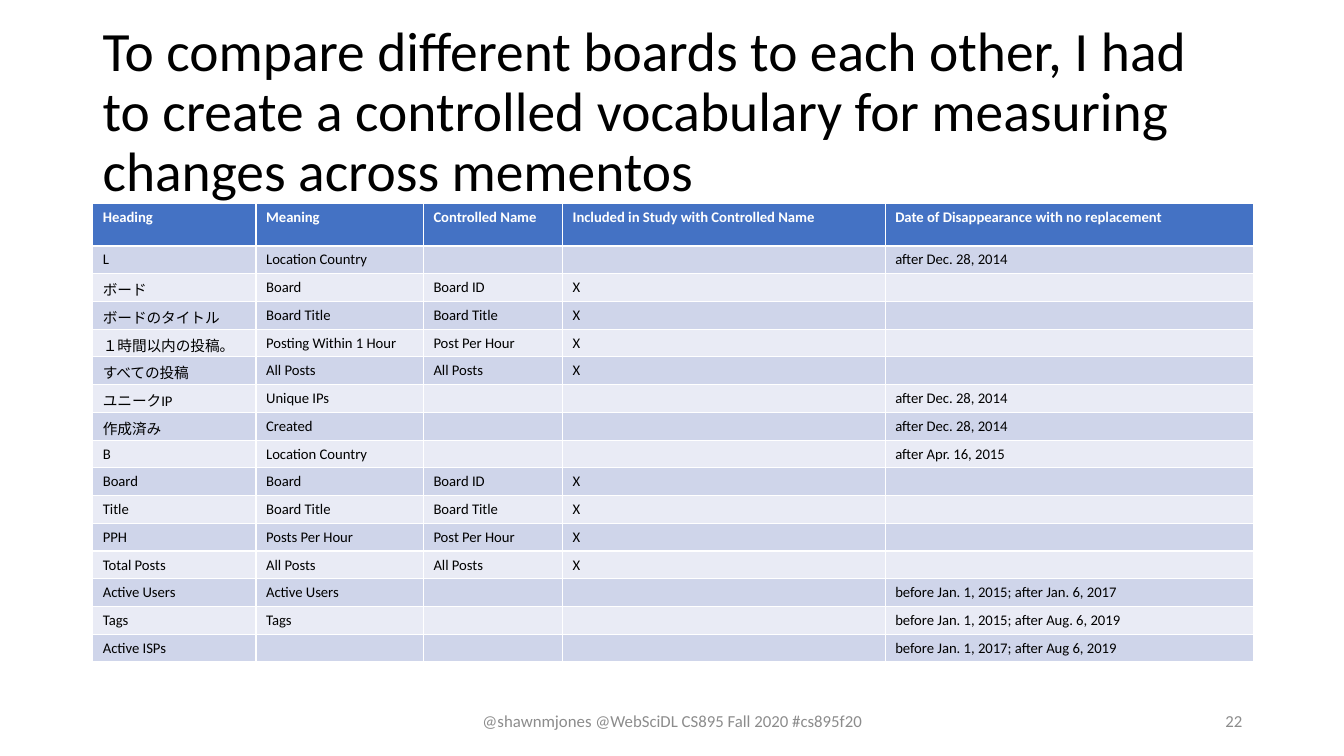
"""Build the slide that maps board headings to a controlled vocabulary."""
from dataclasses import dataclass

import pptx
import pptx.dml.color
import pptx.enum.text
import pptx.oxml.ns
import pptx.slide
import pptx.table
import pptx.text.text
import pptx.util
from lxml import etree

Inches = pptx.util.Inches
Align = pptx.enum.text.PP_ALIGN

FONT = "Calibri"
TABLE_SIZE = 10.5
HEADER_HEIGHT = 0.42
ROW_HEIGHT = 0.27
COLORS = {
    "text": "000000",
    "footer": "8C8C8C",
    "header_text": "FFFFFF",
    "header": "4472C4",
    "odd_row": "CFD5EA",
    "even_row": "E9EBF5",
}


@dataclass(frozen=True)
class Label:
    text: str
    left: float
    top: float
    width: float
    height: float
    size: float
    color: str
    align: Align = Align.LEFT
    line_spacing: float = 1.0


@dataclass(frozen=True)
class Column:
    title: str
    width: float


@dataclass(frozen=True)
class Entry:
    heading: str
    meaning: str = ""
    controlled_name: str = ""
    disappeared: str = ""

    def values(self) -> list[str]:
        included = "X" if self.controlled_name else ""
        return [self.heading, self.meaning, self.controlled_name, included, self.disappeared]


LABELS = [
    Label("To compare different boards to each other, I had to create a controlled "
          "vocabulary for measuring changes across mementos",
          0.92, 0.4, 11.5, 1.45, 39.6, "text", line_spacing=0.9),
    Label("@shawnmjones @WebSciDL CS895 Fall 2020 #cs895f20",
          4.42, 6.95, 4.5, 0.4, 12, "footer", Align.CENTER),
    Label("22", 9.42, 6.95, 3, 0.4, 12, "footer", Align.RIGHT),
]

COLUMNS = [
    Column("Heading", 1.62),
    Column("Meaning", 1.66),
    Column("Controlled Name", 1.38),
    Column("Included in Study with Controlled Name", 3.2),
    Column("Date of Disappearance with no replacement", 3.65),
]

ENTRIES = [
    Entry("L", "Location Country", disappeared="after Dec. 28, 2014"),
    Entry("ボード", "Board", "Board ID"),
    Entry("ボードのタイトル", "Board Title", "Board Title"),
    Entry("１時間以内の投稿。", "Posting Within 1 Hour", "Post Per Hour"),
    Entry("すべての投稿", "All Posts", "All Posts"),
    Entry("ユニークIP", "Unique IPs", disappeared="after Dec. 28, 2014"),
    Entry("作成済み", "Created", disappeared="after Dec. 28, 2014"),
    Entry("B", "Location Country", disappeared="after Apr. 16, 2015"),
    Entry("Board", "Board", "Board ID"),
    Entry("Title", "Board Title", "Board Title"),
    Entry("PPH", "Posts Per Hour", "Post Per Hour"),
    Entry("Total Posts", "All Posts", "All Posts"),
    Entry("Active Users", "Active Users", disappeared="before Jan. 1, 2015; after Jan. 6, 2017"),
    Entry("Tags", "Tags", disappeared="before Jan. 1, 2015; after Aug. 6, 2019"),
    Entry("Active ISPs", disappeared="before Jan. 1, 2017; after Aug 6, 2019"),
]


def rgb(name: str) -> pptx.dml.color.RGBColor:
    return pptx.dml.color.RGBColor.from_string(COLORS[name])


def set_font(paragraph: pptx.text.text._Paragraph, size: float, color: str,
             bold: bool = False) -> None:
    font = paragraph.font
    font.name = FONT
    font.size = pptx.util.Pt(size)
    font.bold = bold
    font.color.rgb = rgb(color)


def add_label(slide: pptx.slide.Slide, label: Label) -> None:
    shape = slide.shapes.add_textbox(
        Inches(label.left), Inches(label.top), Inches(label.width), Inches(label.height))
    frame = shape.text_frame
    frame.word_wrap = True
    frame.vertical_anchor = pptx.enum.text.MSO_ANCHOR.MIDDLE
    paragraph = frame.paragraphs[0]
    paragraph.text = label.text
    paragraph.alignment = label.align
    paragraph.line_spacing = label.line_spacing
    set_font(paragraph, label.size, label.color)


def fill_cell(cell: pptx.table._Cell, text: str, fill: str, color: str, bold: bool) -> None:
    cell.fill.solid()
    cell.fill.fore_color.rgb = rgb(fill)
    paragraph = cell.text_frame.paragraphs[0]
    set_font(paragraph, TABLE_SIZE, color, bold)
    if text:
        paragraph.add_run().text = text
    else:
        etree.SubElement(paragraph._p, pptx.oxml.ns.qn("a:endParaRPr"),
                         sz=str(int(TABLE_SIZE * 100)))


def add_vocabulary_table(slide: pptx.slide.Slide) -> None:
    rows = [[column.title for column in COLUMNS]] + [entry.values() for entry in ENTRIES]
    width = sum(column.width for column in COLUMNS)
    height = HEADER_HEIGHT + ROW_HEIGHT * len(ENTRIES)
    table = slide.shapes.add_table(
        len(rows), len(COLUMNS), Inches(0.92), Inches(2.02), Inches(width), Inches(height)).table
    for index, column in enumerate(COLUMNS):
        table.columns[index].width = Inches(column.width)
    for row_index, values in enumerate(rows):
        is_header = row_index == 0
        table.rows[row_index].height = Inches(HEADER_HEIGHT if is_header else ROW_HEIGHT)
        band = "odd_row" if row_index % 2 else "even_row"
        for column_index, text in enumerate(values):
            fill_cell(table.cell(row_index, column_index), text,
                      "header" if is_header else band,
                      "header_text" if is_header else "text", is_header)


def main() -> None:
    presentation = pptx.Presentation()
    presentation.slide_width = Inches(13.33)
    presentation.slide_height = Inches(7.5)
    slide = presentation.slides.add_slide(presentation.slide_layouts[6])
    title, *footers = LABELS
    add_label(slide, title)
    add_vocabulary_table(slide)
    for footer in footers:
        add_label(slide, footer)
    presentation.save("out.pptx")


if __name__ == "__main__":
    main()
